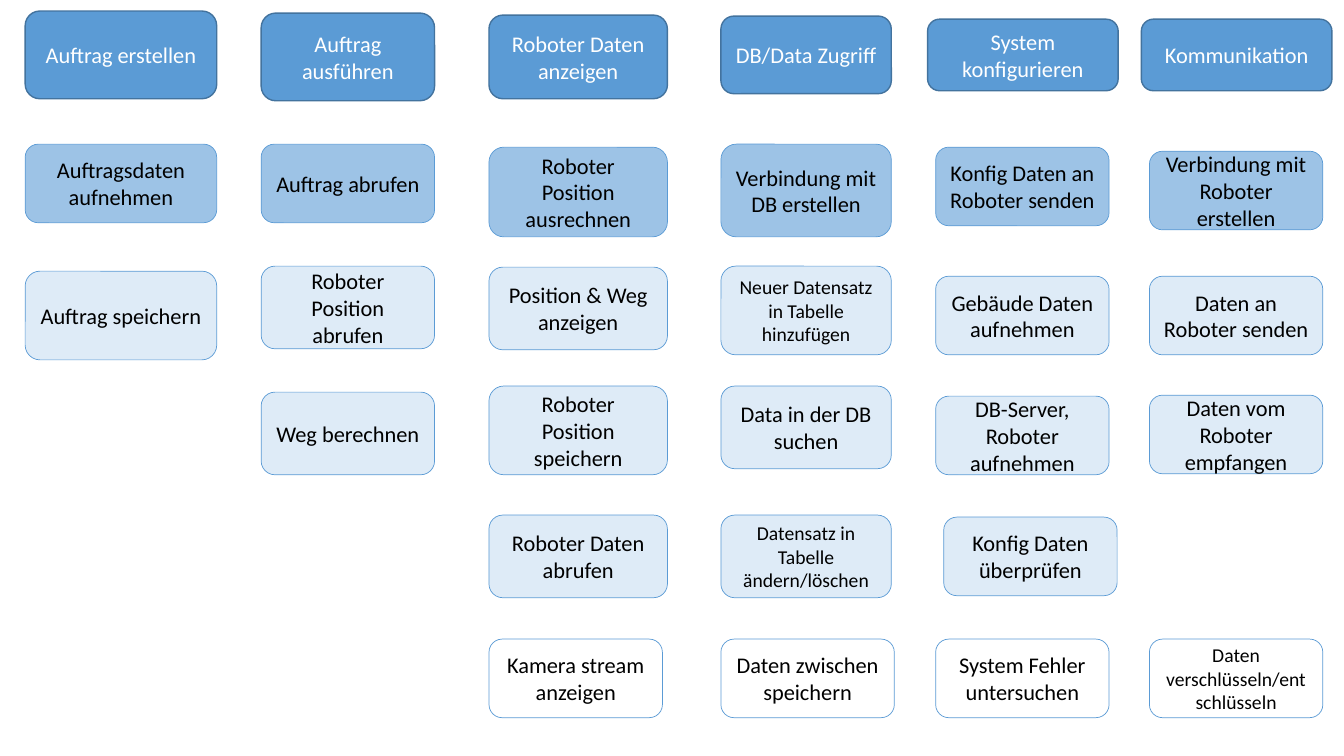
from dataclasses import dataclass

import pptx
import pptx.dml.color
import pptx.enum.shapes
import pptx.enum.text
import pptx.slide
import pptx.util
from pptx.util import Inches


@dataclass(frozen=True)
class Style:
    fill: str
    line: str
    width: float
    ink: str


@dataclass(frozen=True)
class Card:
    text: str
    top: float
    style: Style
    high: float = 0.78
    size: int = 16
    shift: float = 0
    wide: float | None = None  # None takes the column width


@dataclass(frozen=True)
class Column:
    left: float
    wide: float
    cards: list[Card]


# Levels, from heading to optional task
HEAD = Style("5B9BD5", "43739E", 1, "FFFFFF")
FIRST = Style("9DC3E6", "5B9BD5", 0.5, "000000")
TASK = Style("DEEBF7", "5B9BD5", 0.5, "000000")
EXTRA = Style("FFFFFF", "5B9BD5", 0.5, "000000")

# Story map, column by column
COLUMNS = [
    Column(0.25, 1.9, [
        Card("Auftrag erstellen", 0.11, HEAD, 0.87),
        Card("Auftragsdaten aufnehmen", 1.43, FIRST),
        Card("Auftrag speichern", 2.69, TASK, 0.88),
    ]),
    Column(2.59, 1.72, [
        Card("Auftrag ausführen", 0.13, HEAD, 0.87),
        Card("Auftrag abrufen", 1.43, FIRST),
        Card("Roboter Position abrufen", 2.64, TASK, 0.82),
        Card("Weg berechnen", 3.89, TASK, 0.82),
    ]),
    Column(4.85, 1.77, [
        Card("Roboter Daten anzeigen", 0.15, HEAD, 0.83),
        Card("Roboter Position ausrechnen", 1.46, FIRST, 0.89),
        Card("Position & Weg anzeigen", 2.65, TASK, 0.82),
        Card("Roboter Position speichern", 3.83, TASK, 0.88),
        Card("Roboter Daten abrufen", 5.11, TASK, 0.82),
        Card("Kamera stream anzeigen", 6.34, EXTRA, wide=1.72),
    ]),
    Column(7.15, 1.69, [
        Card("DB/Data Zugriff", 0.16, HEAD, 0.77),
        Card("Verbindung mit DB erstellen", 1.43, FIRST, 0.92),
        Card("Neuer Datensatz in Tabelle hinzufügen", 2.64, TASK, 0.88, 14),
        Card("Data in der DB suchen", 3.83, TASK, 0.82),
        Card("Datensatz in Tabelle ändern/löschen", 5.11, TASK, 0.82, 14),
        Card("Daten zwischen speichern", 6.34, EXTRA, wide=1.72),
    ]),
    Column(9.28, 1.72, [
        Card("System konfigurieren", 0.19, HEAD, 0.71, shift=-0.08, wide=1.89),
        Card("Konfig Daten an Roboter senden", 1.46, FIRST),
        Card("Gebäude Daten aufnehmen", 2.74, TASK),
        Card("DB-Server, Roboter aufnehmen", 3.93, TASK),
        Card("Konfig Daten überprüfen", 5.13, TASK, shift=0.08),
        Card("System Fehler untersuchen", 6.34, EXTRA),
    ]),
    Column(11.4, 1.72, [
        Card("Kommunikation", 0.19, HEAD, 0.71, shift=-0.08, wide=1.89),
        Card("Verbindung mit Roboter erstellen", 1.5, FIRST),
        Card("Daten an Roboter senden", 2.74, TASK),
        Card("Daten vom Roboter empfangen", 3.92, TASK),
        Card("Daten verschlüsseln/entschlüsseln", 6.34, EXTRA, size=14),
    ]),
]


def color(code: str) -> pptx.dml.color.RGBColor:
    return pptx.dml.color.RGBColor.from_string(code)


def draw(slide: pptx.slide.Slide, column: Column, card: Card) -> None:
    style = card.style
    box = slide.shapes.add_shape(
        pptx.enum.shapes.MSO_SHAPE.ROUNDED_RECTANGLE,
        Inches(column.left + card.shift), Inches(card.top),
        Inches(card.wide or column.wide), Inches(card.high))
    box.shadow.inherit = False
    box.fill.solid()
    box.fill.fore_color.rgb = color(style.fill)
    box.line.color.rgb = color(style.line)
    box.line.width = pptx.util.Pt(style.width)

    # Label
    frame = box.text_frame
    frame.word_wrap = True
    frame.vertical_anchor = pptx.enum.text.MSO_ANCHOR.MIDDLE
    line = frame.paragraphs[0]
    line.alignment = pptx.enum.text.PP_ALIGN.CENTER
    run = line.add_run()
    run.text = card.text
    run.font.name = "Calibri"
    run.font.size = pptx.util.Pt(card.size)
    run.font.color.rgb = color(style.ink)


def main() -> None:
    deck = pptx.Presentation()
    deck.slide_width, deck.slide_height = Inches(13.33), Inches(7.5)
    slide = deck.slides.add_slide(deck.slide_layouts[6])
    for column in COLUMNS:
        for card in column.cards:
            draw(slide, column, card)
    deck.save("out.pptx")


if __name__ == "__main__":
    main()
